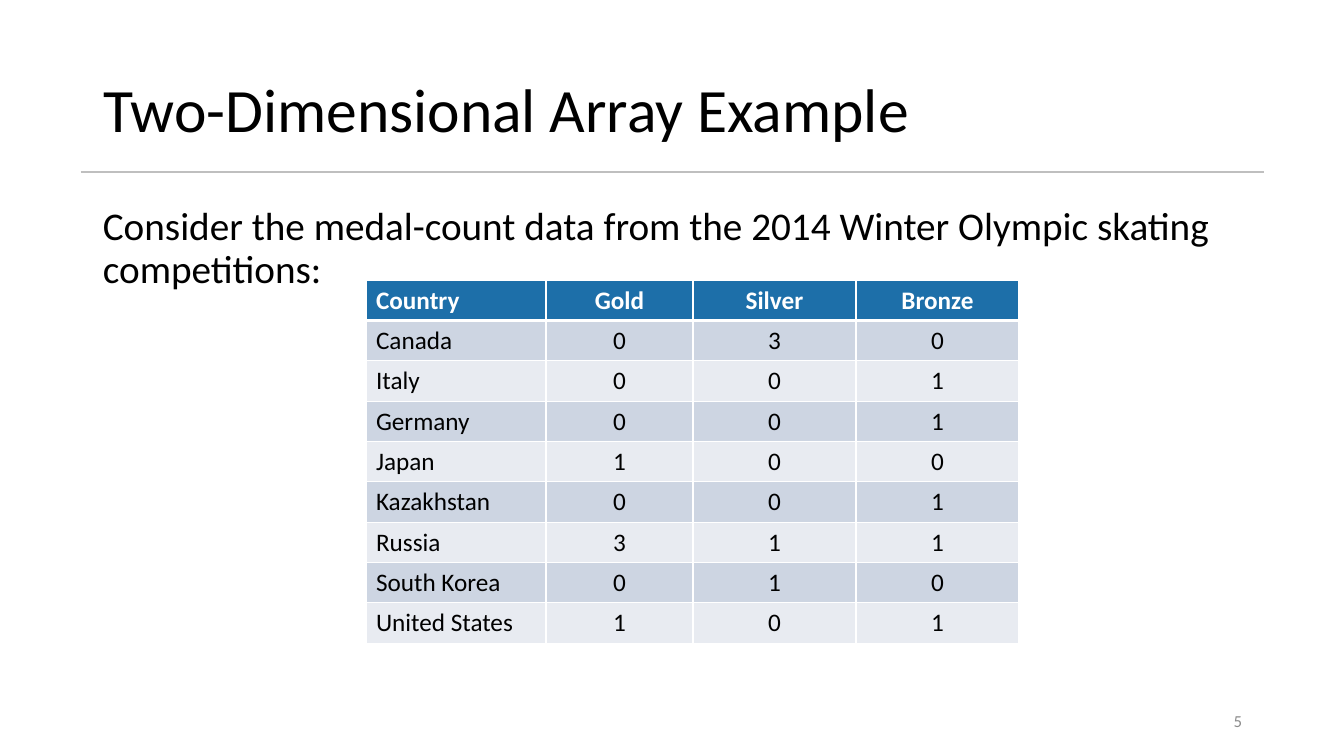
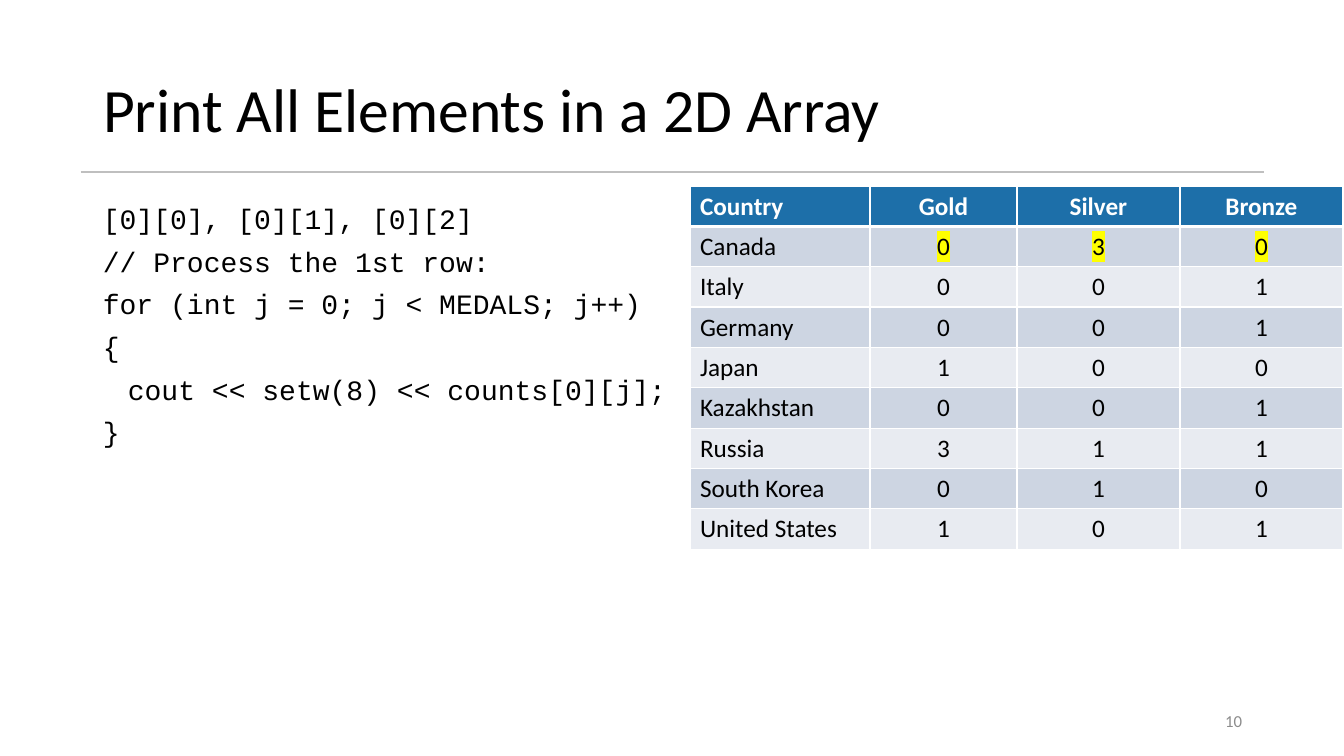
import pptx
import pptx.dml.color
import pptx.enum.shapes
import pptx.enum.text
import pptx.oxml
import pptx.oxml.ns
import pptx.util

ALIGN = pptx.enum.text.PP_ALIGN
ANCHOR = pptx.enum.text.MSO_ANCHOR
SANS, MONO = "Calibri", "Courier New"
INK, WHITE, RULE, NUMBER = "000000", "FFFFFF", "BFBFBF", "8C8C8C"
HEADER, BANDS, MARK = "1D6FA9", ("E8EBF1", "CDD5E2"), "FFFF00"
COLUMNS, ROW = (180, 147, 163, 163), 40

MEDALS = (
    ("Country", "Gold", "Silver", "Bronze"),
    ("Canada", 0, 3, 0),
    ("Italy", 0, 0, 1),
    ("Germany", 0, 0, 1),
    ("Japan", 1, 0, 0),
    ("Kazakhstan", 0, 0, 1),
    ("Russia", 3, 1, 1),
    ("South Korea", 0, 1, 0),
    ("United States", 1, 0, 1),
)
CODE = """[0][0], [0][1], [0][2]
// Process the 1st row:
for (int j = 0; j < MEDALS; j++)
{
\tcout << setw(8) << counts[0][j];
}"""


def px(length):
    return round(length * 914400 / 100.8)


def color(code):
    return pptx.dml.color.RGBColor.from_string(code)


def element(xml):
    return pptx.oxml.parse_xml(xml.replace(">", f" {pptx.oxml.ns.nsdecls('a')}>", 1))


class Deck:
    """Holds the shared style and the slide being built."""

    def __init__(self):
        self.deck = pptx.Presentation()
        self.deck.slide_width, self.deck.slide_height = px(1344), px(756)

    def start(self, title, number):
        self.slide = self.deck.slides.add_slide(self.deck.slide_layouts[5])
        heading = self.slide.shapes.title
        heading.left, heading.top, heading.width, heading.height = map(px, (93, 40, 1159, 146))
        self.set_text(heading.text_frame, title, 44, anchor=ANCHOR.MIDDLE, spacing=0.9)
        self.rule(81, 172, 1264)
        self.text((950, 701, 302, 40), number, 12, ink=NUMBER, align=ALIGN.RIGHT, anchor=ANCHOR.MIDDLE)

    def rule(self, left, top, right):
        line = self.slide.shapes.add_connector(
            pptx.enum.shapes.MSO_CONNECTOR.STRAIGHT, px(left), px(top), px(right), px(top))
        line.line.color.rgb = color(RULE)
        line.line.width = pptx.util.Pt(1.5)
        line._element.spPr.append(element("<a:effectLst></a:effectLst>"))

    def set_text(self, frame, words, size, font=SANS, ink=INK, bold=False,
                 align=ALIGN.LEFT, anchor=ANCHOR.TOP, spacing=1.0, before=0, hanging=0):
        frame.text = words
        frame.word_wrap = True
        frame.vertical_anchor = anchor
        for paragraph in frame.paragraphs:
            paragraph.alignment = align
            paragraph.line_spacing = spacing
            paragraph.space_before = pptx.util.Pt(before)
            if hanging:
                properties = paragraph._p.get_or_add_pPr()
                properties.set("marL", str(px(hanging)))
                properties.set("indent", str(-px(hanging)))
            for run in paragraph.runs:
                run.font.name, run.font.size = font, pptx.util.Pt(size)
                run.font.bold = bold
                run.font.color.rgb = color(ink)

    def text(self, box, words, size, **style):
        frame = self.slide.shapes.add_textbox(*map(px, box)).text_frame
        self.set_text(frame, words, size, **style)

    def borders(self, cell, top, bottom):
        for side, points in (("L", 1), ("R", 1), ("T", top), ("B", bottom)):
            cell._tc.get_or_add_tcPr().append(element(
                f'<a:ln{side} w="{pptx.util.Pt(points)}"><a:solidFill>'
                f'<a:srgbClr val="{WHITE}"/></a:solidFill></a:ln{side}>'))

    def highlight(self, cell):
        for run in cell.text_frame.paragraphs[0].runs:
            ink = run._r.rPr.find(pptx.oxml.ns.qn("a:solidFill"))
            ink.addnext(element(f'<a:highlight><a:srgbClr val="{MARK}"/></a:highlight>'))

    def medal_table(self, left, top, marked_row=None):
        table = self.slide.shapes.add_table(
            len(MEDALS), len(COLUMNS), px(left), px(top),
            px(sum(COLUMNS)), px(ROW * len(MEDALS))).table
        for column, width in zip(table.columns, COLUMNS):
            column.width = px(width)
        for r, record in enumerate(MEDALS):
            for c, value in enumerate(record):
                cell = table.cell(r, c)
                self.borders(cell, 3 if r == 1 else 1, 3 if r == 0 else 1)
                cell.fill.solid()
                cell.fill.fore_color.rgb = color(BANDS[r % 2] if r else HEADER)
                self.set_text(cell.text_frame, str(value), 18, ink=INK if r else WHITE,
                              bold=r == 0, align=ALIGN.CENTER if c else ALIGN.LEFT)
                cell.vertical_anchor = ANCHOR.MIDDLE
                if c and r == marked_row:
                    self.highlight(cell)


def main():
    deck = Deck()
    deck.start("Two-Dimensional Array Example", "5")
    deck.text((93, 202, 1159, 489),
              "Consider the medal-count data from the 2014 Winter Olympic skating competitions:",
              28, spacing=0.9, before=10)
    deck.medal_table(366, 280)

    deck.start("Print All Elements in a 2D Array", "10")
    deck.text((93, 202, 1058, 489), CODE, 20, font=MONO, spacing=0.85, before=10, hanging=25)
    deck.medal_table(690, 186, marked_row=1)
    deck.deck.save("out.pptx")


if __name__ == "__main__":
    main()
